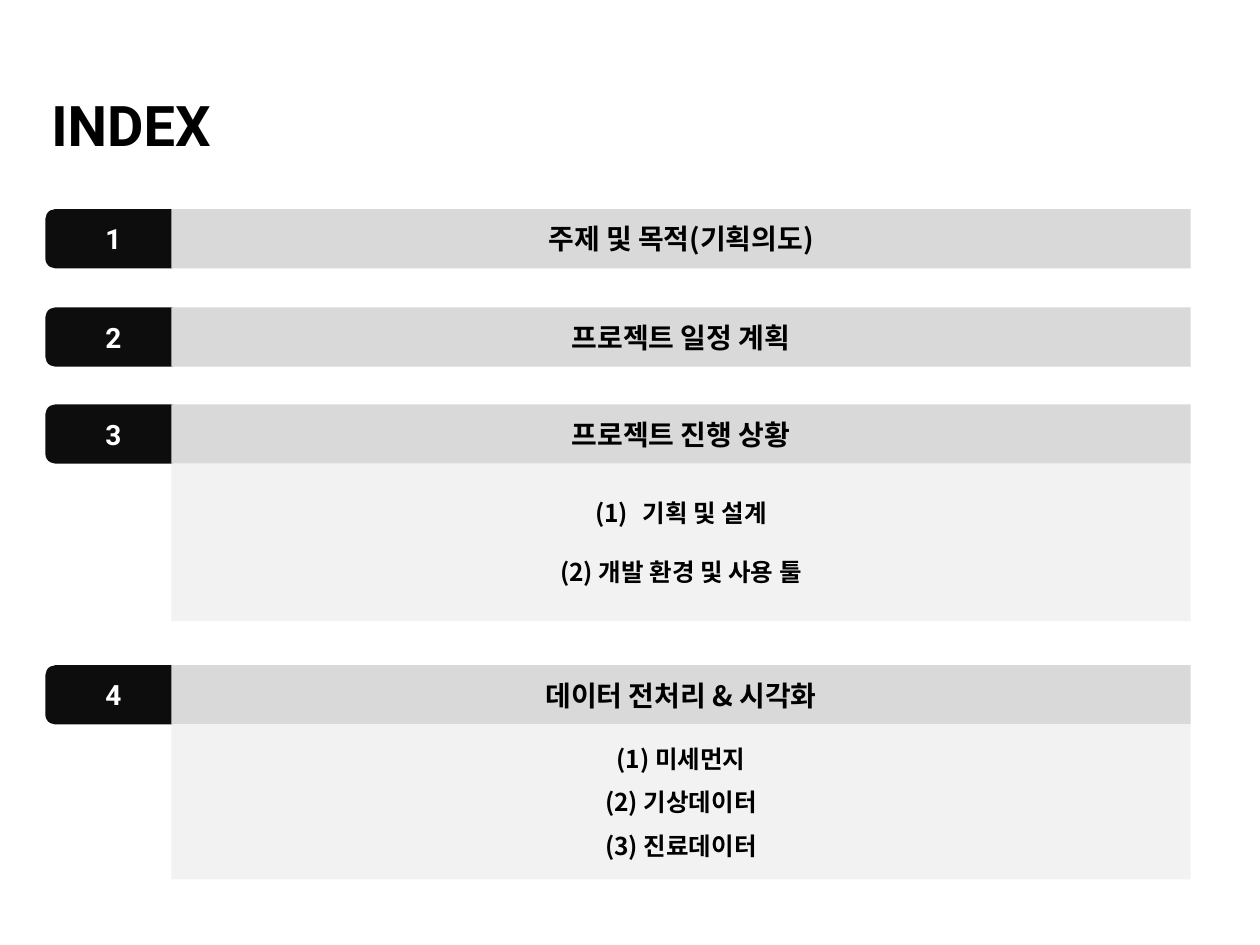
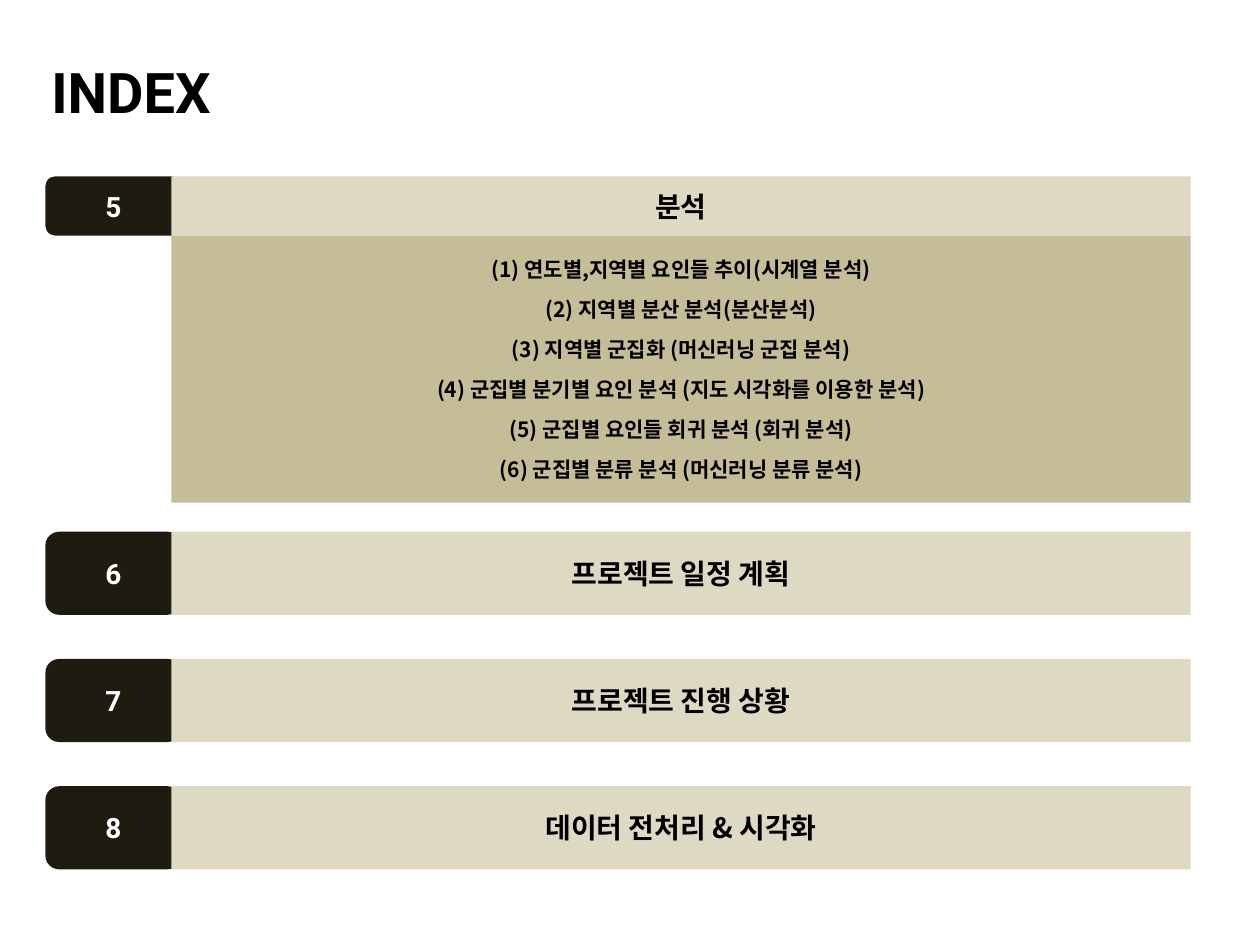
import pptx
import pptx.util
import pptx.dml.color
import pptx.enum.shapes
import pptx.enum.text
import pptx.oxml.ns
from lxml import etree

RGB = pptx.dml.color.RGBColor
Inches = pptx.util.Inches
Pt = pptx.util.Pt
SHAPE = pptx.enum.shapes.MSO_SHAPE
ALIGN = pptx.enum.text.PP_ALIGN
MIDDLE = pptx.enum.text.MSO_ANCHOR.MIDDLE
qn = pptx.oxml.ns.qn

BLACK = RGB(0x00, 0x00, 0x00)
WHITE = RGB(0xFF, 0xFF, 0xFF)
GRAY = {"tab": RGB(0x0D, 0x0D, 0x0D), "bar": RGB(0xD9, 0xD9, 0xD9),
        "panel": RGB(0xF2, 0xF2, 0xF2)}
SAND = {"tab": RGB(0x1E, 0x1C, 0x11), "bar": RGB(0xDD, 0xD9, 0xC3),
        "panel": RGB(0xC4, 0xBD, 0x97)}

TITLE = {"name": "Roboto", "size": Pt(32), "bold": True}
DIGIT = {"name": "Roboto", "size": Pt(16), "bold": True}
HEAD = {"name": "Noto Sans CJK KR", "size": Pt(16), "bold": True}

# Columns shared by every row; the bar covers the right end of the tab
LEFT, TAB_W = 0.36, 1.08
BAR_X, BAR_W = 1.36, 8.09


def write(para, text, style, color, align=ALIGN.CENTER):
    para.alignment = align
    run = para.add_run()
    run.text = text
    for key, value in style.items():
        setattr(run.font, key, value)
    run.font.color.rgb = color
    east = etree.SubElement(run.font._element, qn("a:ea"))
    east.set("typeface", style["name"])


def block(slide, kind, box, fill):
    shape = slide.shapes.add_shape(kind, *map(Inches, box))
    shape.shadow.inherit = False
    shape.fill.solid()
    shape.fill.fore_color.rgb = fill
    shape.line.fill.background()
    shape.text_frame.vertical_anchor = MIDDLE
    shape.text_frame.word_wrap = True
    return shape.text_frame


def number(para):
    """Automatic (1) numbering with a hanging indent."""
    props = para._p.get_or_add_pPr()
    props.set("marL", str(Inches(0.38)))
    props.set("indent", str(-Inches(0.38)))
    font = etree.SubElement(props, qn("a:buFont"))
    font.set("typeface", HEAD["name"])
    etree.SubElement(props, qn("a:buAutoNum")).set("type", "arabicParenBoth")


def title(slide, top):
    box = slide.shapes.add_textbox(*map(Inches, (0.31, top, 2.77, 0.85)))
    frame = box.text_frame
    frame.word_wrap = True
    frame.vertical_anchor = MIDDLE
    write(frame.paragraphs[0], "INDEX", TITLE, BLACK, ALIGN.LEFT)


def panel(slide, top, fill, high, size, gap, lines, auto=False):
    frame = block(slide, SHAPE.RECTANGLE, (BAR_X, top, BAR_W, high), fill)
    for i, line in enumerate(lines):
        para = frame.add_paragraph() if i else frame.paragraphs[0]
        para.line_spacing = Pt(size * 1.2)
        if i:
            para.space_before = Pt(gap)
        elif auto:
            number(para)
        write(para, line, {**HEAD, "size": Pt(size)}, BLACK)


def row(slide, theme, digit, text, top, high, sub=None):
    # Number tab, heading bar, then the panel below
    tab = block(slide, SHAPE.FLOWCHART_ALTERNATE_PROCESS,
                (LEFT, top, TAB_W, high), theme["tab"])
    write(tab.paragraphs[0], str(digit), DIGIT, WHITE)
    bar = block(slide, SHAPE.RECTANGLE, (BAR_X, top, BAR_W, high), theme["bar"])
    write(bar.paragraphs[0], text, HEAD, BLACK)
    if sub:
        panel(slide, top + high, theme["panel"], **sub)


def index(deck, theme, top, first, rows):
    slide = deck.slides.add_slide(deck.slide_layouts[6])
    title(slide, top)
    for digit, item in enumerate(rows, first):
        row(slide, theme, digit, *item)


PLAN, STATE, DATA = "프로젝트 일정 계획", "프로젝트 진행 상황", "데이터 전처리 & 시각화"

BUILD = {"high": 1.25, "size": 14, "gap": 16.6, "auto": True, "lines": [
    "기획 및 설계",
    "(2) 개발 환경 및 사용 툴"]}
SETS = {"high": 1.23, "size": 14, "gap": 8.2, "lines": [
    "(1) 미세먼지",
    "(2) 기상데이터",
    "(3) 진료데이터"]}
STUDY = {"high": 2.12, "size": 12, "gap": 8.4, "lines": [
    "(1) 연도별,지역별 요인들 추이(시계열 분석)",
    "(2) 지역별 분산 분석(분산분석)",
    "(3) 지역별 군집화 (머신러닝 군집 분석)",
    "(4) 군집별 분기별 요인 분석 (지도 시각화를 이용한 분석)",
    "(5) 군집별 요인들 회귀 분석 (회귀 분석)",
    "(6) 군집별 분류 분석 (머신러닝 분류 분석)"]}


def main():
    deck = pptx.Presentation()
    deck.slide_width, deck.slide_height = Inches(10), Inches(7.5)
    index(deck, GRAY, 0.56, 1, [
        ("주제 및 목적(기획의도)", 1.66, 0.47),
        (PLAN, 2.44, 0.47),
        (STATE, 3.21, 0.47, BUILD),
        (DATA, 5.28, 0.47, SETS)])
    index(deck, SAND, 0.3, 5, [
        ("분석", 1.4, 0.47, STUDY),
        (PLAN, 4.22, 0.66),
        (STATE, 5.23, 0.66),
        (DATA, 6.24, 0.66)])
    deck.save("out.pptx")


if __name__ == "__main__":
    main()
